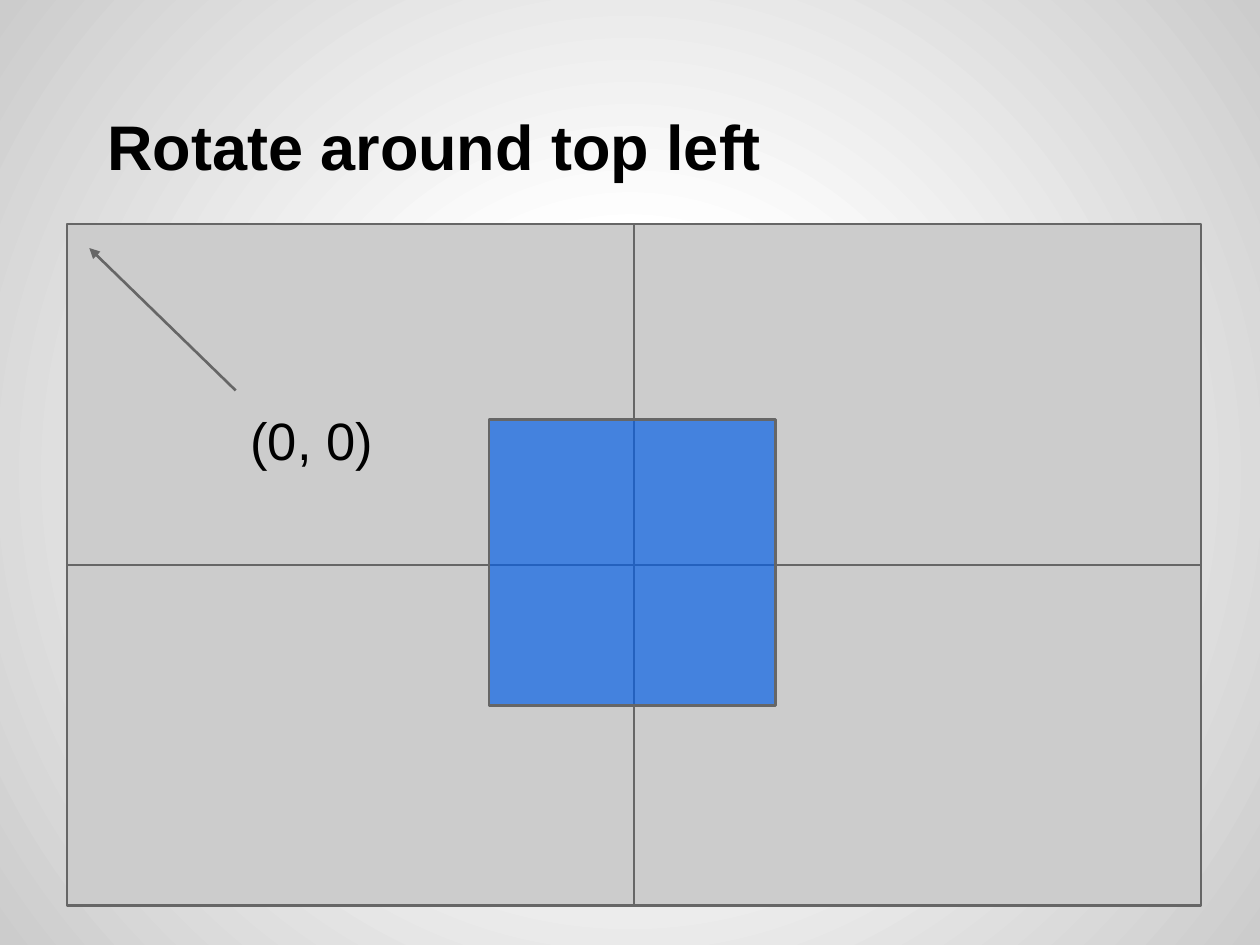
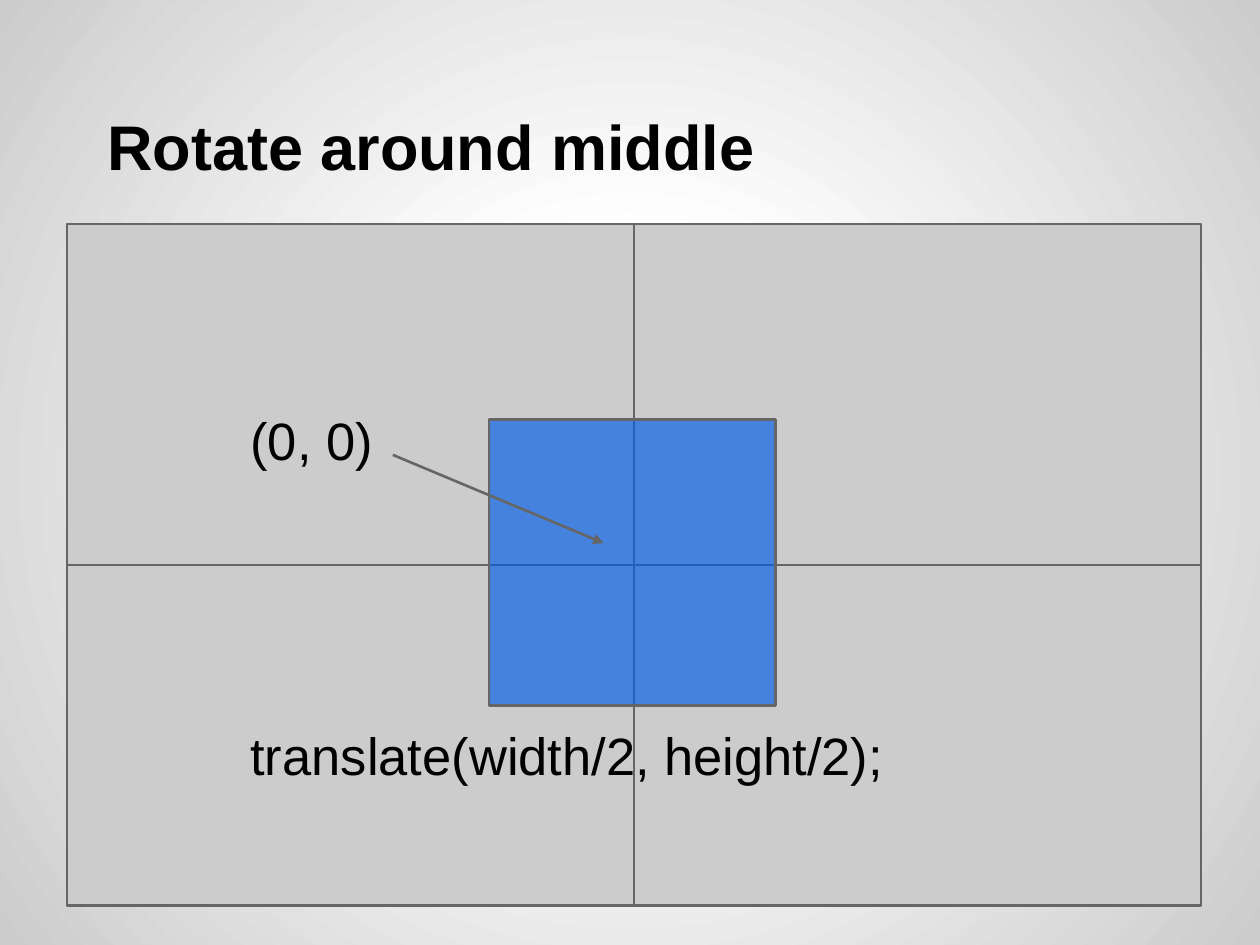
from lxml.etree import SubElement as Sub
from pptx import Presentation
from pptx.dml.color import RGBColor
from pptx.enum.shapes import MSO_CONNECTOR as Link, MSO_SHAPE as Kind
from pptx.enum.text import MSO_ANCHOR as Anchor, PP_ALIGN as Align
from pptx.oxml.ns import qn
from pptx.util import Cm, Pt

WHITE = RGBColor(0xFF, 0xFF, 0xFF)
BLACK = RGBColor(0, 0, 0)
GREY = RGBColor(0xCC, 0xCC, 0xCC)
DARK = RGBColor(0x66, 0x66, 0x66)
BLUE = RGBColor(0x05, 0x60, 0xE8)

FONT = "Arial"
INSET = 0.25
LEFT = 4.8


def set_glow(master):
    master.background.fill.gradient()
    grad = master.element.find(".//" + qn("a:gradFill"))
    grad.clear()
    stops = Sub(grad, qn("a:gsLst"))
    for pos, color in ((0, WHITE), (30, WHITE), (100, GREY)):
        stop = Sub(stops, qn("a:gs"), pos=str(pos * 1000))
        Sub(stop, qn("a:srgbClr"), val=str(color))
    ring = Sub(grad, qn("a:path"), {"path": "circle"})
    Sub(ring, qn("a:fillToRect"), dict.fromkeys("ltrb", "50000"))


def set_text(shape, text, size, bold=False):
    frame = shape.text_frame
    frame.text = text
    frame.word_wrap = True
    frame.margin_left = frame.margin_right = Cm(INSET)
    frame.margin_top = frame.margin_bottom = Cm(INSET)
    para = frame.paragraphs[0]
    para.alignment = Align.LEFT
    font = para.runs[0].font
    font.name, font.size, font.bold = FONT, Pt(size), bold
    font.color.rgb = BLACK
    return frame


def add_title(slide, text):
    title = slide.shapes.title
    title.left, title.top = Cm(1.27), Cm(0.76)
    title.width, title.height = Cm(22.86), Cm(3.18)
    frame = set_text(title, text, 36, True)
    frame.vertical_anchor = Anchor.BOTTOM
    props = frame.paragraphs[0]._p.get_or_add_pPr()
    props.set("marL", "0")
    props.set("indent", str(Cm(0.64)))


def add_label(slide, text, top):
    box = slide.shapes.add_textbox(Cm(LEFT), Cm(top), Cm(15.72), Cm(1.7))
    set_text(box, text, 30)


def set_line(line):
    line.color.rgb = DARK
    line.width = Pt(1.5)


def add_rect(slide, left, top, width, height, color):
    rect = slide.shapes.add_shape(
        Kind.RECTANGLE, Cm(left), Cm(top), Cm(width), Cm(height))
    rect.shadow.inherit = False
    rect.fill.solid()
    rect.fill.fore_color.rgb = color
    set_line(rect.line)
    return rect


def add_line(slide, start=(0, 0), end=(0, 0)):
    line = slide.shapes.add_connector(
        Link.STRAIGHT, *(Cm(value) for value in (*start, *end)))
    set_line(line.line)
    Sub(line._element.spPr, qn("a:effectLst"))
    return line


def add_arrow(slide, start, end):
    arrow = add_line(slide, start, end)
    Sub(arrow.line._get_or_add_ln(), qn("a:tailEnd"), type="triangle")


def add_axes(slide):
    frame = add_rect(slide, 1.35, 4.52, 22.86, 13.74, GREY)
    for first, last in ((0, 2), (1, 3)):
        axis = add_line(slide)
        axis.begin_connect(frame, first)
        axis.end_connect(frame, last)
    square = add_rect(slide, 9.86, 8.46, 5.77, 5.77, BLUE)
    color = square._element.spPr.find(".//" + qn("a:srgbClr"))
    Sub(color, qn("a:alpha"), val="68000")


def add_page(deck, title, labels, start, end):
    slide = deck.slides.add_slide(deck.slide_layouts[5])
    add_title(slide, title)
    add_axes(slide)
    for text, top in labels:
        add_label(slide, text, top)
    add_arrow(slide, start, end)


def main():
    deck = Presentation()
    deck.slide_width, deck.slide_height = Cm(25.4), Cm(19.05)
    set_glow(deck.slide_master)
    origin = ("(0, 0)", 7.98)
    shift = ("translate(width/2, height/2);", 14.33)
    add_page(deck, "Rotate around top left", [origin],
             (4.75, 7.87), (1.8, 5))
    add_page(deck, "Rotate around middle", [origin, shift],
             (7.92, 9.17), (12.17, 10.95))
    deck.save("out.pptx")


if __name__ == "__main__":
    main()
